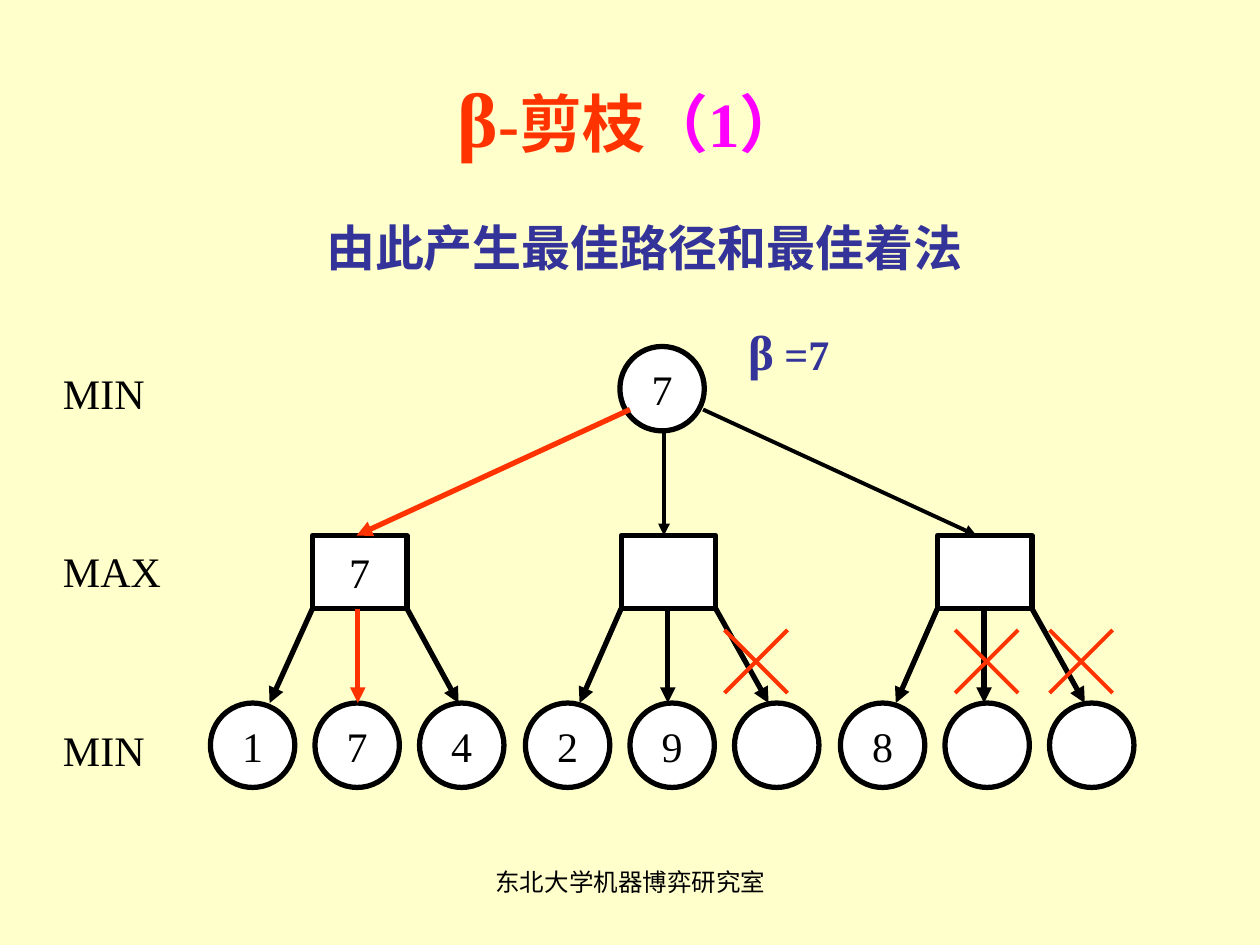
from lxml.etree import SubElement
from pptx import Presentation
from pptx.dml.color import RGBColor
from pptx.enum.shapes import MSO_CONNECTOR, MSO_SHAPE
from pptx.enum.text import MSO_ANCHOR, MSO_AUTO_SIZE, PP_ALIGN
from pptx.oxml.ns import qn
from pptx.util import Inches, Pt

COLORS = {"paper": "FFFFCC", "ink": "000000", "node": "FFFFFF",
          "red": "FF3300", "pink": "FF00FF", "navy": "333399"}
SERIF, SANS = "Times New Roman", "Arial"
UNITS_PER_INCH = 12
LEAF_STEP, LEAF_LEFT, LEAF_TOP = 10, 20, 67
NODE = 8
BOX_TOP, BOX_W, BOX_H = 51, 9, 7
BOXES = [(29.7, "7"), (59.2, ""), (89.3, "")]
LEAVES = ["1", "7", "4", "2", "9", "", "8", "", ""]
BRANCHES = [(0, -4), (4.4, 4.4), (9, 14)]
ROOT_ARROWS = [((60, 39), (34, 51), "red", 3),
               ((63.3, 41), (63.3, 51), "ink", 2.24),
               ((67, 39), (93, 51), "ink", 2.24)]
BEST_LEAF = 1
CROSSES = [69, 91, 100]
LEVELS = [(35, "MIN"), (52, "MAX"), (69, "MIN")]


def grid(*units):
    return [Inches(round(u / UNITS_PER_INCH, 2)) for u in units]


def rgb(name):
    return RGBColor.from_string(COLORS[name])


def apply(obj, values):
    for name, value in values.items():
        setattr(obj, name, value)


def write(tf, runs, align=PP_ALIGN.LEFT, **frame):
    apply(tf, {"auto_size": MSO_AUTO_SIZE.NONE, **frame})
    p = tf.paragraphs[0]
    p.alignment = align
    for text, size, color, font, bold in runs:
        r = p.add_run()
        r.text = text
        apply(r.font, {"size": Pt(size), "name": font, "bold": bold})
        r.font.color.rgb = rgb(color)


def add_label(s, place, runs, align=PP_ALIGN.LEFT, **frame):
    sp = s.shapes.add_textbox(*grid(*place))
    write(sp.text_frame, runs, align, **{"word_wrap": True, **frame})


def add_node(s, kind, place, text):
    sp = s.shapes.add_shape(kind, *grid(*place))
    sp.shadow.inherit = False
    sp.fill.solid()
    sp.fill.fore_color.rgb = rgb("node")
    sp.line.color.rgb = rgb("ink")
    sp.line.width = Pt(3)
    if text:
        write(sp.text_frame, [(text, 24, "ink", SERIF, False)], PP_ALIGN.CENTER,
              vertical_anchor=MSO_ANCHOR.MIDDLE, word_wrap=False)


def add_line(s, start, end, color, width, arrow=True):
    c = s.shapes.add_connector(MSO_CONNECTOR.STRAIGHT, *grid(*start, *end))
    c.line.color.rgb = rgb(color)
    c.line.width = Pt(width)
    if arrow:
        SubElement(c.line._get_or_add_ln(), qn("a:tailEnd"), type="triangle")
    SubElement(c._element.spPr, qn("a:effectLst"))


def add_cross(s, left):
    top, size = 60, 6
    add_line(s, (left, top + size), (left + size, top), "red", 2.24, False)
    add_line(s, (left, top), (left + size, top + size), "red", 2.24, False)


def add_title(s):
    sp = s.shapes.title
    apply(sp, dict(zip(("left", "top", "width", "height"), grid(6, 3.6, 108, 15))))
    write(sp.text_frame, [("β", 44, "red", SERIF, True),
                          ("-剪枝", 36, "red", SERIF, True),
                          ("（1）", 36, "pink", SERIF, True)],
          PP_ALIGN.CENTER, vertical_anchor=MSO_ANCHOR.MIDDLE)


def add_tree(s):
    add_node(s, MSO_SHAPE.OVAL, (59, 33, NODE, NODE), "7")
    for i, text in enumerate(LEAVES):
        left = LEAF_LEFT + i * LEAF_STEP
        add_node(s, MSO_SHAPE.OVAL, (left, LEAF_TOP, NODE, NODE), text)
    for i, (left, text) in enumerate(BOXES):
        add_node(s, MSO_SHAPE.RECTANGLE, (left, BOX_TOP, BOX_W, BOX_H), text)
        for j, (start, end) in enumerate(BRANCHES):
            color = "red" if i * len(BRANCHES) + j == BEST_LEAF else "ink"
            add_line(s, (left + start, BOX_TOP + BOX_H), (left + end, LEAF_TOP), color, 3)
    for arrow in ROOT_ARROWS:
        add_line(s, *arrow)
    for left in CROSSES:
        add_cross(s, left)


def main():
    prs = Presentation()
    prs.slide_width, prs.slide_height = grid(120, 90)
    s = prs.slides.add_slide(prs.slide_layouts[5])
    s.background.fill.solid()
    s.background.fill.fore_color.rgb = rgb("paper")
    add_title(s)
    add_label(s, (29.9, 20.2, 63, 6.8),
              [("由此产生最佳路径和最佳着法", 28, "navy", SERIF, True)], word_wrap=False)
    add_tree(s)
    add_label(s, (70.1, 30, 10.1, 6.8),
              [("β", 28, "navy", SERIF, True), (" =7", 24, "navy", SERIF, True)],
              word_wrap=False)
    for top, text in LEVELS:
        add_label(s, (6, top, 10, 4.8), [(text, 24, "ink", SERIF, False)],
                  margin_left=0, margin_right=0, margin_top=0, margin_bottom=0)
    add_label(s, (41, 82, 38, 6.2),
              [("东北大学机器博弈研究室", 14, "ink", SANS, False)], PP_ALIGN.CENTER)
    prs.save("out.pptx")


main()
